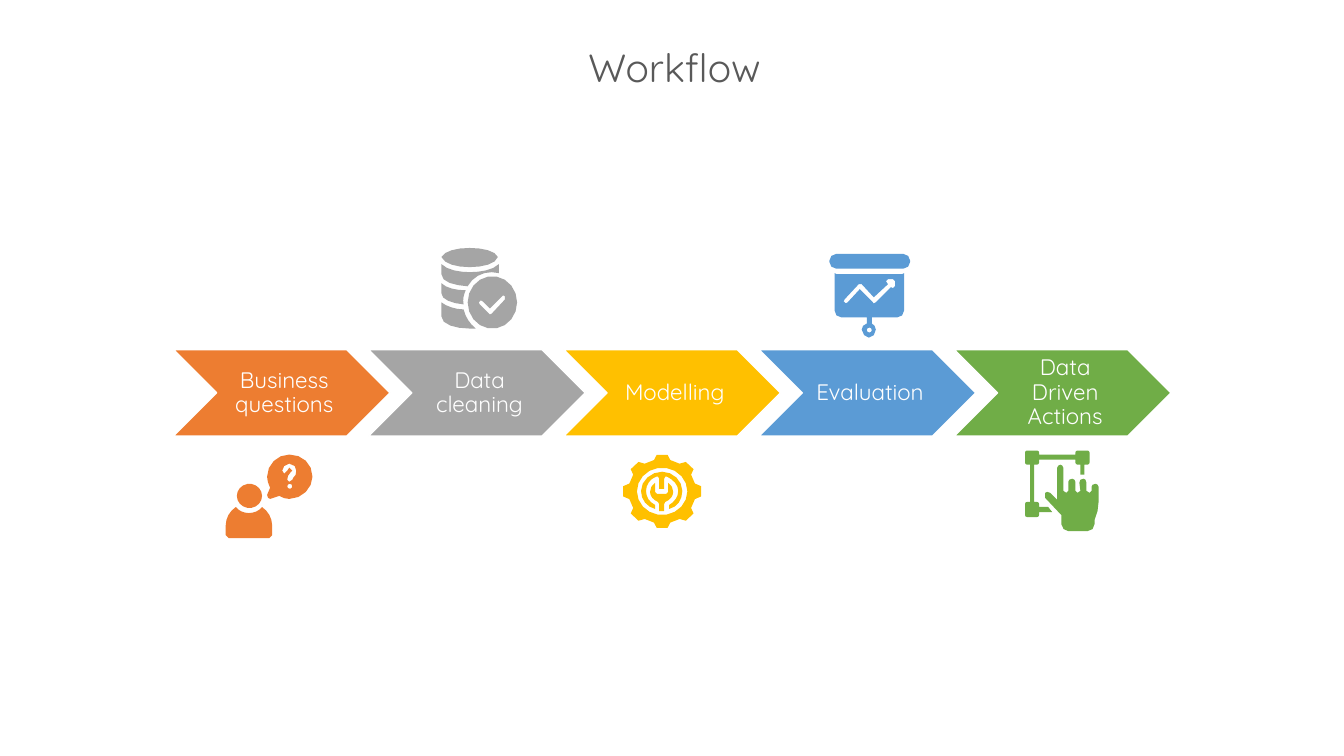
from dataclasses import dataclass
from math import cos, dist, radians, sin
from typing import Any

from pptx import Presentation
from pptx.dml.color import RGBColor
from pptx.enum.shapes import MSO_SHAPE
from pptx.enum.text import MSO_ANCHOR, MSO_AUTO_SIZE, PP_ALIGN
from pptx.util import Cm, Pt

WHITE = RGBColor(0xFF, 0xFF, 0xFF)
GREY = RGBColor(0x59, 0x59, 0x59)
ORANGE = RGBColor(0xED, 0x7D, 0x31)
SILVER = RGBColor(0xA5, 0xA5, 0xA5)
GOLD = RGBColor(0xFF, 0xC0, 0x00)
BLUE = RGBColor(0x5B, 0x9B, 0xD5)
GREEN = RGBColor(0x70, 0xAD, 0x47)

FONT = "Quicksand"
UNIT = Cm(2.54) / 100  # icon grid: 100 units to 2.54 cm
LEFT, TOP, WIDE, HIGH, PITCH = 4.37, 8.81, 5.46, 2.18, 4.92
INSET = 1.09  # chevron notch, left of the label

Point = tuple[float, float]


@dataclass
class Step:
    label: str
    color: RGBColor
    icon: list[str]


# Icon outlines: M move, L lines, C curves, O oval (centre, radii),
# R round box (left, top, width, height, radius), G gear (centre)
PERSON = [
    "O 247.5 492 12.5 12",
    "M 287 460 C 292 460 294 464 294 467 294 470 293 473 291 474 L 290 476 287 478 285 476"
    " C 285 473 286 471 288 469 L 290 467 287 464 285 467 282 470 280 467"
    " C 280 464 283 460 287 460 O 287.5 482.5 2.5 2.5"
    " M 287 451 C 275 451 265 461 265 473 265 476 266 480 268 484 L 265 491 266 494 268 495"
    " 277 492 C 280 494 284 495 287 495 300 495 310 484 310 473 310 460 300 451 287 451",
    "M 234 503 C 228 507 224 514 224 521 L 224 531 227 534 267 534 270 531 270 521"
    " C 270 514 266 507 260 503 257 507 252 509 247 509 242 509 237 507 234 503",
]
STORE = [
    "M 466 246 C 453 246 441 249 438 255 441 262 453 265 466 265"
    " 479 265 492 262 494 255 492 249 479 246 466 246",
    "M 438 262 L 438 272 C 438 280 451 283 464 284 469 275 478 270 488 270"
    " L 495 271 495 262 C 489 268 477 270 466 270 456 270 444 268 438 262",
    "M 499 293 L 501 294 501 297 488 311 486 312 485 311 476 302 475 300 477 298 479 299"
    " 486 306 498 294 O 488.5 300 24.5 26",
    "M 438 281 L 438 291 C 438 297 448 301 460 302 459 297 460 293 462 288"
    " 453 288 443 286 438 281",
    "M 438 300 L 438 314 C 438 322 452 326 466 326 L 472 326"
    " C 466 321 462 315 460 307 452 307 443 304 438 300",
]
GEAR = [
    "M 650 479 C 647 481 645 484 645 488 645 492 648 496 653 498 L 654 500"
    " 654 507 659 507 659 500 660 498 C 665 496 668 492 668 488"
    " 668 484 666 481 663 479 L 663 488 661 490 652 490 650 488",
    "M 657 468 C 646 468 636 477 636 487 636 496 642 503 650 505 L 650 501"
    " C 644 498 641 493 641 487 641 481 645 475 651 473 L 653 473 654 475"
    " 654 485 659 485 659 475 660 473 662 473 C 668 476 673 481 673 487"
    " 673 493 669 498 664 501 L 664 505 C 672 503 677 496 677 487 677 477 668 468 657 468",
    "O 657 487.5 25 23.5 G 657 487.5",
]
BOARD = [
    "R 823 252 80 14.5 6.5",
    "M 886 277 L 888 279 888 284 886 286 884 285 869 300 867 301 866 300"
    " 853 287 841 300 839 301 837 299 838 297 852 282 853 282 855 282 867 295 881 282"
    " 879 279 881 277 O 862.5 327.5 2.5 2.5"
    " M 828 271 L 828 308 C 828 312 831 315 835 315 L 860 315 860 321"
    " C 857 322 855 324 855 327 855 331 859 335 862 335 866 335 869 331 869 327"
    " 869 324 867 322 865 321 L 865 315 890 315 C 894 315 897 312 897 308"
    " L 897 271 895 272 830 272",
]
HAND = [
    "M 1052 461 L 1050 462 1049 464 1049 496 1042 489 1039 488 1037 489 1037 494"
    " 1053 511 1053 520 C 1053 524 1057 527 1060 527 L 1079 527"
    " C 1083 527 1086 524 1086 520 L 1086 516 1089 507 1090 498 1090 483 1089 481 1087 480"
    " 1084 481 1083 483 1083 487 1081 489 1078 487 1078 479 1077 476 1075 475"
    " 1072 476 1071 479 1072 487 1069 489 1067 487 1067 478 1066 476 1064 475"
    " 1061 476 1060 478 1060 487 1058 489 1055 487 1055 464 1054 462",
    "R 1017 447 14 14 2 R 1067 447 14 14 2 R 1017 498 14 15 2"
    " R 1031 451 36 5 0 R 1022 461 4 37 0"
    " M 1031 503 L 1040 503 1044 508 1031 508 M 1072 461 L 1076 461 1076 471 1072 471",
]
STEPS = [
    Step("Business questions", ORANGE, PERSON),
    Step("Data cleaning", SILVER, STORE),
    Step("Modelling", GOLD, GEAR),
    Step("Evaluation", BLUE, BOARD),
    Step("Data Driven Actions", GREEN, HAND),
]


def put(item: Any, **look: Any) -> None:
    for key, val in look.items():
        setattr(item, key, val)


def arc(x: float, y: float, rx: float, ry: float, start: int, end: int) -> list[Point]:
    step = 20 if rx > 10 else 45
    return [(x + rx * cos(radians(a)), y + ry * sin(radians(a)))
            for a in range(start, end + 1, step)]


def box(x: float, y: float, w: float, h: float, r: float) -> list[Point]:
    mids = [(x + w - r, y + h - r), (x + r, y + h - r), (x + r, y + r), (x + w - r, y + r)]
    if not r:
        return mids
    return [p for i, (mx, my) in enumerate(mids)
            for p in arc(mx, my, r, r, 90 * i, 90 * i + 90)]


def gear(x: float, y: float) -> list[Point]:
    tooth = [(-14, 33.5, 32), (-8, 39, 36.5), (8, 39, 36.5), (14, 33.5, 32)]
    return [p for mid in range(0, 360, 45) for turn, rx, ry in tooth
            for p in arc(x, y, rx, ry, mid + turn, mid + turn)]


def curve(a: Point, b: Point, c: Point, d: Point) -> list[Point]:
    def mix(t: float, i: int) -> float:
        s = 1 - t
        return s**3 * a[i] + 3 * s * s * t * b[i] + 3 * s * t * t * c[i] + t**3 * d[i]
    count = 2 if dist(a, d) < 12 else 4
    return [(mix(n / count, 0), mix(n / count, 1)) for n in range(1, count + 1)]


def trace(code: str) -> list[list[Point]]:
    moves: list[tuple[str, list[float]]] = []
    for word in code.split():
        if word.isalpha():
            moves.append((word, []))
        else:
            moves[-1][1].append(float(word))
    loops: list[list[Point]] = []
    for kind, nums in moves:
        pairs = list(zip(nums[::2], nums[1::2]))
        if kind == "M":
            loops.append(pairs)
        elif kind == "L":
            loops[-1] += pairs
        elif kind == "C":
            for i in range(0, len(pairs), 3):
                loops[-1] += curve(loops[-1][-1], *pairs[i:i + 3])
        elif kind == "O":
            loops.append(arc(*nums, 0, 350))
        else:
            loops.append(box(*nums) if kind == "R" else gear(*nums))
    return loops


def paint(shape: Any, color: RGBColor) -> None:
    shape.shadow.inherit = False
    shape.fill.solid()
    shape.fill.fore_color.rgb = color


def draw(slide: Any, code: str, color: RGBColor) -> None:
    loops = [[(x * UNIT, y * UNIT) for x, y in loop] for loop in trace(code)]
    pen = slide.shapes.build_freeform(*loops[0][0], scale=1.0)
    for i, loop in enumerate(loops):
        if i:
            pen.move_to(*loop[0])
        pen.add_line_segments(loop[1:], close=True)
    shape = pen.convert_to_shape()
    paint(shape, color)
    shape.line.fill.background()


def write(slide: Any, text: str, area: tuple[float, ...], size: int, color: RGBColor,
          frame: dict[str, Any], para: dict[str, Any]) -> None:
    body = slide.shapes.add_textbox(*map(Cm, area)).text_frame
    put(body, word_wrap=True, **frame)
    line = body.paragraphs[0]
    put(line, text=text, **para)
    put(line.runs[0].font, size=Pt(size), name=FONT)
    line.runs[0].font.color.rgb = color


def main() -> None:
    deck = Presentation()
    put(deck, slide_width=Cm(33.87), slide_height=Cm(19.05))
    slide = deck.slides.add_slide(deck.slide_layouts[6])
    # Chevrons with labels
    edge = Cm(0.05)
    frame = dict(vertical_anchor=MSO_ANCHOR.MIDDLE, margin_left=Cm(0.18),
                 margin_top=edge, margin_right=edge, margin_bottom=edge)
    para = dict(alignment=PP_ALIGN.CENTER, line_spacing=0.9)
    for i, step in enumerate(STEPS):
        x = LEFT + i * PITCH
        shape = slide.shapes.add_shape(MSO_SHAPE.CHEVRON, Cm(x), Cm(TOP), Cm(WIDE), Cm(HIGH))
        paint(shape, step.color)
        shape.line.color.rgb = WHITE
        shape.line.width = Pt(1)
        write(slide, step.label, (x + INSET, TOP, WIDE - 2 * INSET, HIGH),
              16, WHITE, frame, para)
    # Icons
    for step in STEPS:
        for code in step.icon:
            draw(slide, code, step.color)
    # Title
    write(slide, "Workflow", (14.58, 0.97, 5.26, 1.45), 28, GREY,
          dict(auto_size=MSO_AUTO_SIZE.SHAPE_TO_FIT_TEXT), {})
    deck.save("out.pptx")


if __name__ == "__main__":
    main()
